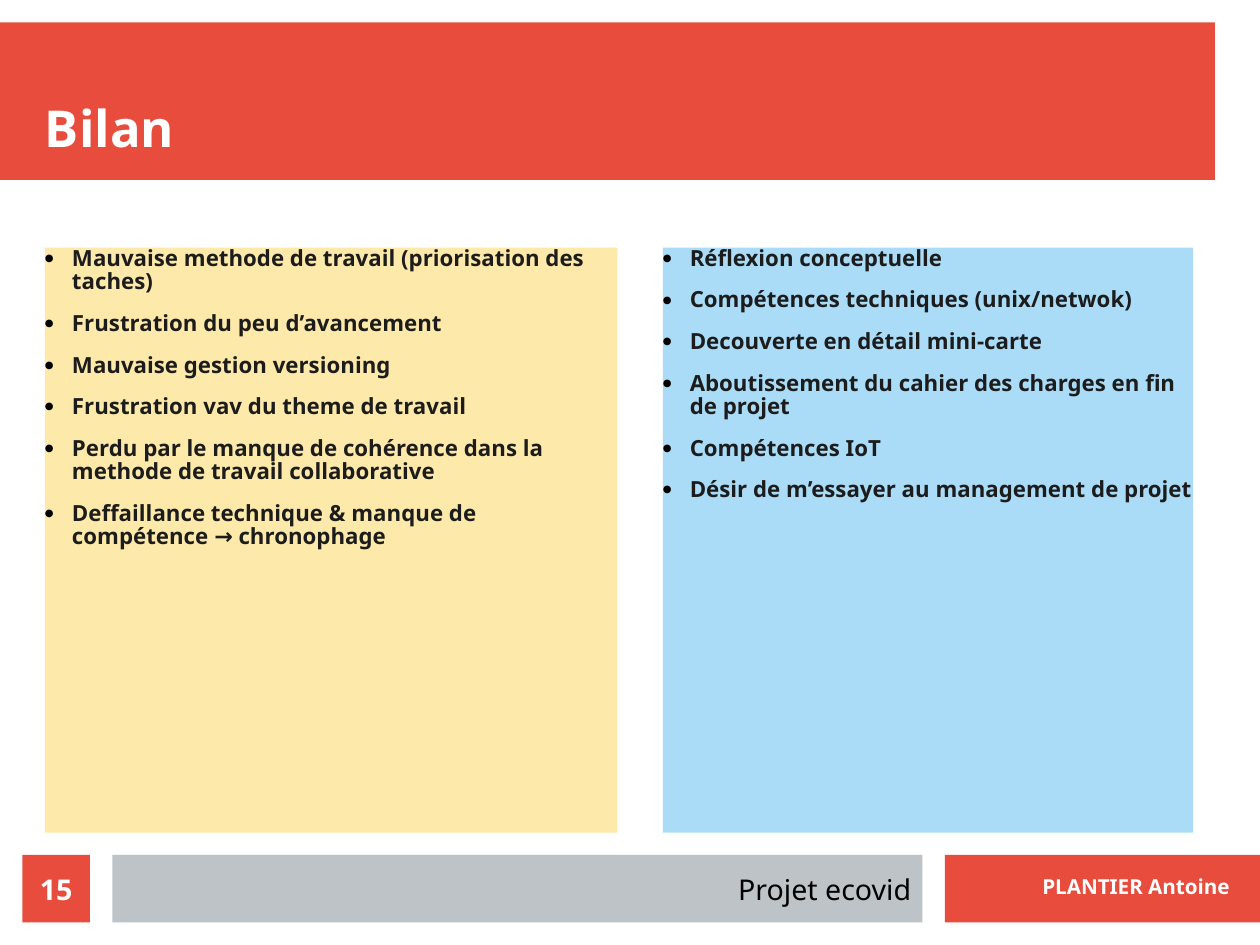
from lxml import etree
from pptx import Presentation
from pptx.dml.color import RGBColor
from pptx.enum.shapes import MSO_SHAPE
from pptx.enum.text import MSO_ANCHOR, MSO_AUTO_SIZE, PP_ALIGN
from pptx.oxml.ns import qn
from pptx.util import Pt

RECTANGLE = MSO_SHAPE.RECTANGLE
TOP, MIDDLE, BOTTOM = MSO_ANCHOR.TOP, MSO_ANCHOR.MIDDLE, MSO_ANCHOR.BOTTOM
LEFT, CENTER, RIGHT = PP_ALIGN.LEFT, PP_ALIGN.CENTER, PP_ALIGN.RIGHT
NO_AUTOFIT = MSO_AUTO_SIZE.NONE

RED = RGBColor(0xE7, 0x4C, 0x3C)
GREY = RGBColor(0xBD, 0xC3, 0xC7)
YELLOW = RGBColor(0xFD, 0xE9, 0xA9)
BLUE = RGBColor(0xAA, 0xDC, 0xF7)
WHITE = RGBColor(0xFF, 0xFF, 0xFF)
BLACK = RGBColor(0x00, 0x00, 0x00)
INK = RGBColor(0x1C, 0x1C, 0x1C)

FONT = "Noto Sans"
SLIDE_WIDTH, SLIDE_HEIGHT = 793.7, 595.28
MARGIN = 28.35
FOOTER_TOP, FOOTER_HEIGHT = 538.58, 42.52
PANEL_TOP, PANEL_HEIGHT = 156, 368.5

DIFFICULTIES = [
    "Mauvaise methode de travail (priorisation des taches)",
    "Frustration du peu d’avancement",
    "Mauvaise gestion versioning",
    "Frustration vav du theme de travail",
    "Perdu par le manque de cohérence dans la methode de travail collaborative",
    "Deffaillance technique & manque de compétence → chronophage",
]
BENEFITS = [
    "Réflexion conceptuelle",
    "Compétences techniques (unix/netwok)",
    "Decouverte en détail mini-carte",
    "Aboutissement du cahier des charges en fin de projet",
    "Compétences IoT",
    "Désir de m’essayer au management de projet",
]


class SlideBuilder:
    """Holds the text style and the current slide."""

    def __init__(self, slide, font_name):
        self.slide = slide
        self.font_name = font_name

    def fill_text(self, shape, text, size, color, bold=True, align=LEFT,
                  anchor=TOP, margins=(0, 0)):
        frame = shape.text_frame
        frame.text = text
        frame.word_wrap = True
        frame.auto_size = NO_AUTOFIT
        frame.vertical_anchor = anchor
        frame.margin_left = frame.margin_right = Pt(margins[0])
        frame.margin_top = frame.margin_bottom = Pt(margins[1])
        for paragraph in frame.paragraphs:
            paragraph.alignment = align
            paragraph.space_before = Pt(0)
            for run in paragraph.runs:
                run.font.name = self.font_name
                run.font.size = Pt(size)
                run.font.bold = bold
                run.font.color.rgb = color

    def bar(self, left, top, width, height, color):
        shape = self.slide.shapes.add_shape(
            RECTANGLE, Pt(left), Pt(top), Pt(width), Pt(height))
        shape.shadow.inherit = False
        shape.fill.solid()
        shape.fill.fore_color.rgb = color
        shape.line.fill.background()
        return shape

    def label(self, left, top, width, height, text, size, color, **style):
        box = self.slide.shapes.add_textbox(
            Pt(left), Pt(top), Pt(width), Pt(height))
        self.fill_text(box, text, size, color, margins=(7.2, 3.6), **style)

    def placeholder(self, index, left, top, width, height):
        shape = self.slide.placeholders[index]
        shape.left, shape.top = Pt(left), Pt(top)
        shape.width, shape.height = Pt(width), Pt(height)
        # Bring in front of the bars drawn before
        self.slide.shapes._spTree.append(shape._element)
        return shape

    def title(self, left, top, width, height, text):
        shape = self.placeholder(0, left, top, width, height)
        self.fill_text(shape, text, 32, WHITE, anchor=BOTTOM)

    def list_panel(self, index, left, width, color, items):
        shape = self.placeholder(index, left, PANEL_TOP, width, PANEL_HEIGHT)
        shape.fill.solid()
        shape.fill.fore_color.rgb = color
        self.fill_text(shape, "\n".join(items), 14, INK)
        for paragraph in shape.text_frame.paragraphs:
            paragraph.line_spacing = 0.88
            paragraph.space_after = Pt(11.4)
            self.bullet(paragraph, 17)

    def bullet(self, paragraph, indent):
        properties = paragraph._p.get_or_add_pPr()
        properties.set("marL", str(Pt(indent)))
        properties.set("indent", str(-Pt(indent)))
        color = etree.SubElement(properties, qn("a:buClr"))
        etree.SubElement(color, qn("a:srgbClr"), val=str(BLACK))
        etree.SubElement(properties, qn("a:buSzPct"), val="45000")
        etree.SubElement(properties, qn("a:buFont"), typeface=self.font_name)
        etree.SubElement(properties, qn("a:buChar"), char="●")


def main():
    presentation = Presentation()
    presentation.slide_width = Pt(SLIDE_WIDTH)
    presentation.slide_height = Pt(SLIDE_HEIGHT)
    two_content = presentation.slide_layouts[3]
    builder = SlideBuilder(presentation.slides.add_slide(two_content), FONT)

    # Header and footer bars
    builder.bar(0, 14.17, 765.35, 99.21, RED)
    builder.bar(595.28, FOOTER_TOP, 198.42, FOOTER_HEIGHT, RED)
    builder.bar(70.87, FOOTER_TOP, 510.24, FOOTER_HEIGHT, GREY)

    # Footer texts
    builder.label(72, FOOTER_TOP, 509.1, FOOTER_HEIGHT, "Projet ecovid",
                  18, BLACK, bold=False, align=RIGHT, anchor=MIDDLE)
    builder.label(649.5, 547.2, 144, 42.5, "PLANTIER Antoine", 13, WHITE)

    # Title and the two lists
    builder.title(MARGIN, 28.35, 737, 70.87, "Bilan")
    builder.list_panel(1, MARGIN, 360.5, YELLOW, DIFFICULTIES)
    builder.list_panel(2, 417.5, 334, BLUE, BENEFITS)

    # Page number
    page = builder.bar(14.17, FOOTER_TOP, FOOTER_HEIGHT, FOOTER_HEIGHT, RED)
    builder.fill_text(page, "15", 18, WHITE, align=CENTER, anchor=MIDDLE)

    presentation.save("out.pptx")


if __name__ == "__main__":
    main()
